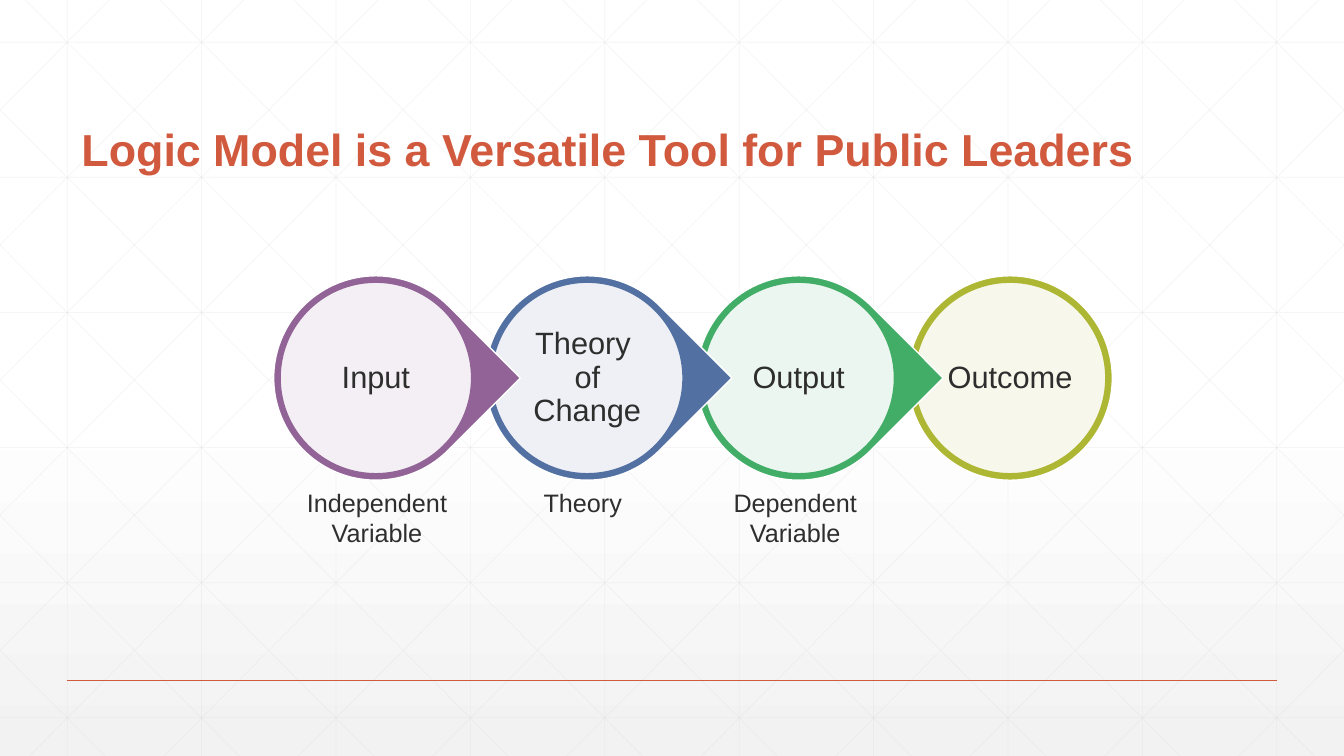
"""Build the logic model slide: a chain of four stages over a faint line grid."""
import pptx
import pptx.dml.color
import pptx.enum.shapes
import pptx.enum.text
import pptx.oxml
import pptx.oxml.ns
import pptx.util

Pt = pptx.util.Pt
SHAPE = pptx.enum.shapes.MSO_SHAPE
ALIGN = pptx.enum.text.PP_ALIGN
ANCHOR = pptx.enum.text.MSO_ANCHOR
FIT = pptx.enum.text.MSO_AUTO_SIZE
qn = pptx.oxml.ns.qn

WIDTH, HEIGHT = 960, 540
PITCH, DIAGONAL_RUN = 96, 537
ACCENT, INK, WHITE = "D15A3E", "2D2E2D", "FFFFFF"
STAGES = [
    ("Input", "926397"),
    ("Theory \nof Change", "5270A2"),
    ("Output", "42AD67"),
    ("Outcome", "AEB733"),
]
FIRST_CENTER, STAGE_PITCH, STAGE_MIDDLE = 268.5, 151, 270
RING, DISC, LABEL = 146, 136.8, 97.2
CAPTIONS = [
    ("Independent\nVariable", 269.3, 115.2, 51),
    ("Theory", 416.3, 71.3, 29),
    ("Dependent\nVariable", 568, 103.7, 51),
]


def rgb(code):
    return pptx.dml.color.RGBColor.from_string(code)


def apply(target, values):
    for name, value in values.items():
        setattr(target, name, value)


def set_opacity(shape, percent):
    color = shape.element.find(f".//{qn('a:solidFill')}/{qn('a:srgbClr')}")
    alpha = pptx.oxml.parse_xml(f"<a:alpha {pptx.oxml.ns.nsdecls('a')}/>")
    alpha.set("val", str(percent * 1000))
    color.append(alpha)


def add_line(shapes, start, end, color, width):
    line = shapes.add_connector(
        pptx.enum.shapes.MSO_CONNECTOR.STRAIGHT, *map(Pt, (*start, *end)))
    line.line.color.rgb = rgb(color)
    line.line.width = Pt(width)
    line.element.spPr.append(
        pptx.oxml.parse_xml(f"<a:effectLst {pptx.oxml.ns.nsdecls('a')}/>"))
    return line


def write(frame, text, frame_format, paragraph_format, font_format, color):
    apply(frame, frame_format)
    paragraph = frame.paragraphs[0]
    paragraph.text = text
    apply(paragraph, paragraph_format)
    for run in paragraph.runs:
        apply(run.font, {"name": "Arial", **font_format})
        run.font.color.rgb = rgb(color)


def add_round(shapes, preset, center, size, fill, outline):
    corner = [Pt(middle - size / 2) for middle in center]
    round_shape = shapes.add_shape(preset, *corner, Pt(size), Pt(size))
    round_shape.shadow.inherit = False
    round_shape.fill.solid()
    round_shape.fill.fore_color.rgb = rgb(fill)
    round_shape.line.color.rgb = rgb(outline)
    round_shape.line.width = Pt(1)
    return round_shape


def paint_background(slide):
    fill = slide.background.fill
    fill.gradient()
    fill.gradient_angle = 270
    for stop, (position, color) in zip(fill.gradient_stops, [(0.53, WHITE), (1, "F2F2F2")]):
        stop.position = position
        stop.color.rgb = rgb(color)


def grid_lines():
    for column in range(10):
        x = 48 + PITCH * column
        yield (x, 0), (x, HEIGHT)
    for row in range(6):
        y = 30.2 + 96.5 * row
        yield (0, y), (WIDTH, y)
    slope = HEIGHT / DIAGONAL_RUN
    for step in range(-5, 10):
        origin = 18 + PITCH * step
        left, right = max(origin, 0), min(origin + DIAGONAL_RUN, WIDTH)
        top, bottom = (left - origin) * slope, (right - origin) * slope
        yield (left, top), (right, bottom)
        yield (WIDTH - left, top), (WIDTH - right, bottom)


def add_grid(slide):
    grid = slide.shapes.add_group_shape().shapes
    for start, end in grid_lines():
        set_opacity(add_line(grid, start, end, "D9D9D9", 0.5), 25)


def add_title(slide, text):
    title = slide.shapes.title
    title.element.getparent().append(title.element)
    apply(title, {"left": Pt(51), "top": Pt(39.6), "width": Pt(807), "height": Pt(90)})
    write(title.text_frame, text,
          {"vertical_anchor": ANCHOR.BOTTOM, "auto_size": FIT.NONE, "word_wrap": True},
          {"alignment": ALIGN.LEFT, "line_spacing": 0.9},
          {"size": Pt(32), "bold": True}, ACCENT)


def add_stage(shapes, index, text, color):
    center = FIRST_CENTER + STAGE_PITCH * index, STAGE_MIDDLE
    is_last = index == len(STAGES) - 1
    ring = add_round(shapes, SHAPE.OVAL if is_last else SHAPE.TEAR,
                     center, RING, color, WHITE)
    ring.rotation = 0 if is_last else 45
    set_opacity(add_round(shapes, SHAPE.OVAL, center, DISC, WHITE, color), 90)
    label = shapes.add_textbox(
        *[Pt(middle - LABEL / 2) for middle in center], Pt(LABEL), Pt(LABEL))
    margins = {f"margin_{side}": Pt(2) for side in ("left", "top", "right", "bottom")}
    write(label.text_frame, text,
          {"word_wrap": True, "vertical_anchor": ANCHOR.MIDDLE, **margins},
          {"alignment": ALIGN.CENTER, "line_spacing": 0.9}, {"size": Pt(22)}, INK)


def add_caption(slide, text, center, width, height):
    caption = slide.shapes.add_textbox(Pt(center - width / 2), Pt(344.2), Pt(width), Pt(height))
    write(caption.text_frame, text,
          {"word_wrap": False, "auto_size": FIT.SHAPE_TO_FIT_TEXT},
          {"alignment": ALIGN.CENTER}, {"size": Pt(18)}, INK)


def main():
    deck = pptx.Presentation()
    apply(deck, {"slide_width": Pt(WIDTH), "slide_height": Pt(HEIGHT)})
    slide = deck.slides.add_slide(deck.slide_layouts[5])
    paint_background(slide)
    add_grid(slide)
    add_line(slide.shapes, (48, 486), (912, 486), ACCENT, 1)
    add_title(slide, "Logic Model is a Versatile Tool for Public Leaders")
    chain = slide.shapes.add_group_shape().shapes
    for index, (text, color) in reversed(list(enumerate(STAGES))):
        add_stage(chain, index, text, color)
    for caption in CAPTIONS:
        add_caption(slide, *caption)
    deck.save("out.pptx")


if __name__ == "__main__":
    main()
